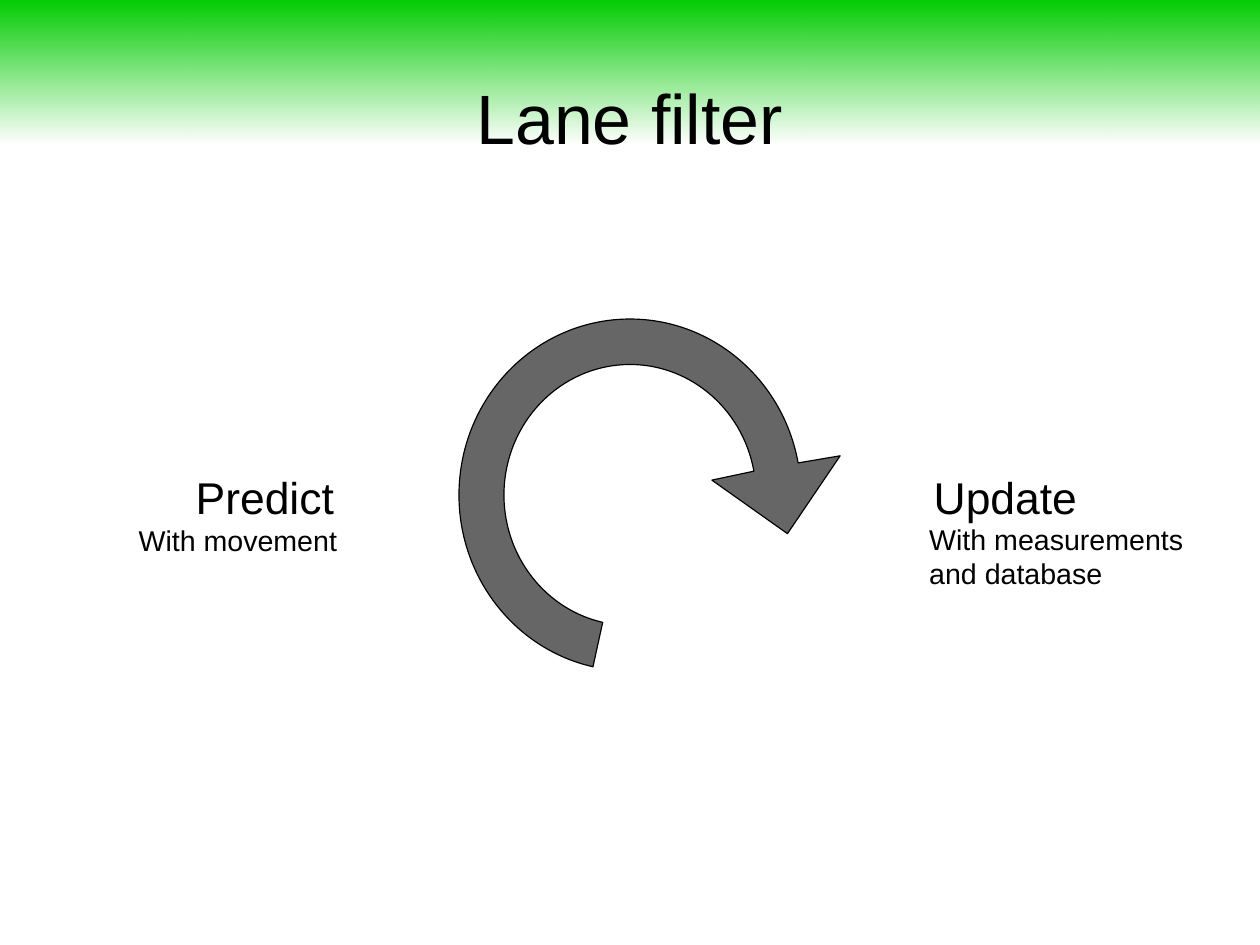
"""Build the lane filter slide: a predict and update cycle."""
import math
from lxml import etree
from pptx import Presentation
from pptx.dml.color import RGBColor
from pptx.enum import shapes, text
from pptx.oxml.ns import qn
from pptx.util import Cm, Pt

GREEN = RGBColor(0x00, 0xCC, 0x00)
GREY = RGBColor(0x66, 0x66, 0x66)
BLACK = RGBColor(0x00, 0x00, 0x00)

prs = Presentation()
prs.slide_width, prs.slide_height = Cm(28), Cm(21)
s = prs.slides.add_slide(prs.slide_layouts[6])

band = s.shapes.add_shape(shapes.MSO_SHAPE.RECTANGLE, 0, 0, Cm(28), Cm(3.2))
band.shadow.inherit = False
band.line.fill.background()
band.fill.gradient()
band.fill.gradient_angle = 270
for position, stop in enumerate(band.fill.gradient_stops):
    stop.color.rgb = GREEN
    stop.position = position
last_color = list(band._element.spPr.iter(qn("a:srgbClr")))[-1]
etree.SubElement(last_color, qn("a:alpha"), val="0")


def arc(rx, ry, start, end, parts=3):
    """Return Bezier points in cm along an ellipse around the cycle's centre."""
    step = math.radians(end - start) / parts
    k = 4 / 3 * math.tan(step / 4)
    unit = [(math.cos(math.radians(start)), math.sin(math.radians(start)))]
    for i in range(parts):
        a = math.radians(start) + i * step
        b = a + step
        unit += [
            (math.cos(a) - k * math.sin(a), math.sin(a) + k * math.cos(a)),
            (math.cos(b) + k * math.sin(b), math.sin(b) - k * math.cos(b)),
            (math.cos(b), math.sin(b)),
        ]
    return [(14 + rx * x, 11 + ry * y) for x, y in unit]


TAIL, NECK = 102.5, 349.5
head = [(18.67, 10.13), (17.5, 11.86), (15.82, 10.67)]
outline = arc(3.8, 3.91, TAIL, NECK) + head + arc(2.8, 2.9, NECK, TAIL)
points = [(Cm(x), Cm(y)) for x, y in outline]
fb = s.shapes.build_freeform(*points[0])
fb.add_line_segments(points[1:], close=True)
cycle = fb.convert_to_shape()
cycle.shadow.inherit = False
cycle.fill.solid()
cycle.fill.fore_color.rgb = GREY
cycle.line.color.rgb = BLACK
cycle.line.width = Pt(0)

lines = list(cycle._element.iter(qn("a:lnTo")))
for first in (0, 3, 6, 13, 16, 19):
    curve = etree.Element(qn("a:cubicBezTo"))
    lines[first].addprevious(curve)
    for line in lines[first:first + 3]:
        curve.append(line[0])
        line.getparent().remove(line)

CENTER, LEFT = text.PP_ALIGN.CENTER, text.PP_ALIGN.LEFT
MIDDLE, TOP = text.MSO_ANCHOR.MIDDLE, text.MSO_ANCHOR.TOP
labels = [
    ("Lane filter", 1.4, 0.84, 25.2, 3.51, 44, CENTER, MIDDLE, 0, 0),
    ("Predict", 4.1, 10.31, 4, 1.35, 28, LEFT, TOP, 0.25, 0.13),
    ("Update", 20.5, 10.31, 4, 1.35, 28, LEFT, TOP, 0.25, 0.13),
    ("With movement", 2.83, 11.5, 6.75, 1.3, 18, LEFT, TOP, 0.25, 0.13),
    ("With measurements and database", 20.4, 11.47, 6.75, 1.68, 18, LEFT, TOP, 0.25, 0.13),
]
for words, x, y, w, h, size, align, anchor, side, edge in labels:
    tf = s.shapes.add_textbox(Cm(x), Cm(y), Cm(w), Cm(h)).text_frame
    frame = {
        "word_wrap": True, "vertical_anchor": anchor,
        "margin_left": Cm(side), "margin_right": Cm(side),
        "margin_top": Cm(edge), "margin_bottom": Cm(edge),
    }
    for name, value in frame.items():
        setattr(tf, name, value)
    p = tf.paragraphs[0]
    p.alignment = align
    r = p.add_run()
    r.text = words
    for name, value in {"name": "Arial", "size": Pt(size)}.items():
        setattr(r.font, name, value)
    r.font.color.rgb = BLACK

prs.save("out.pptx")
